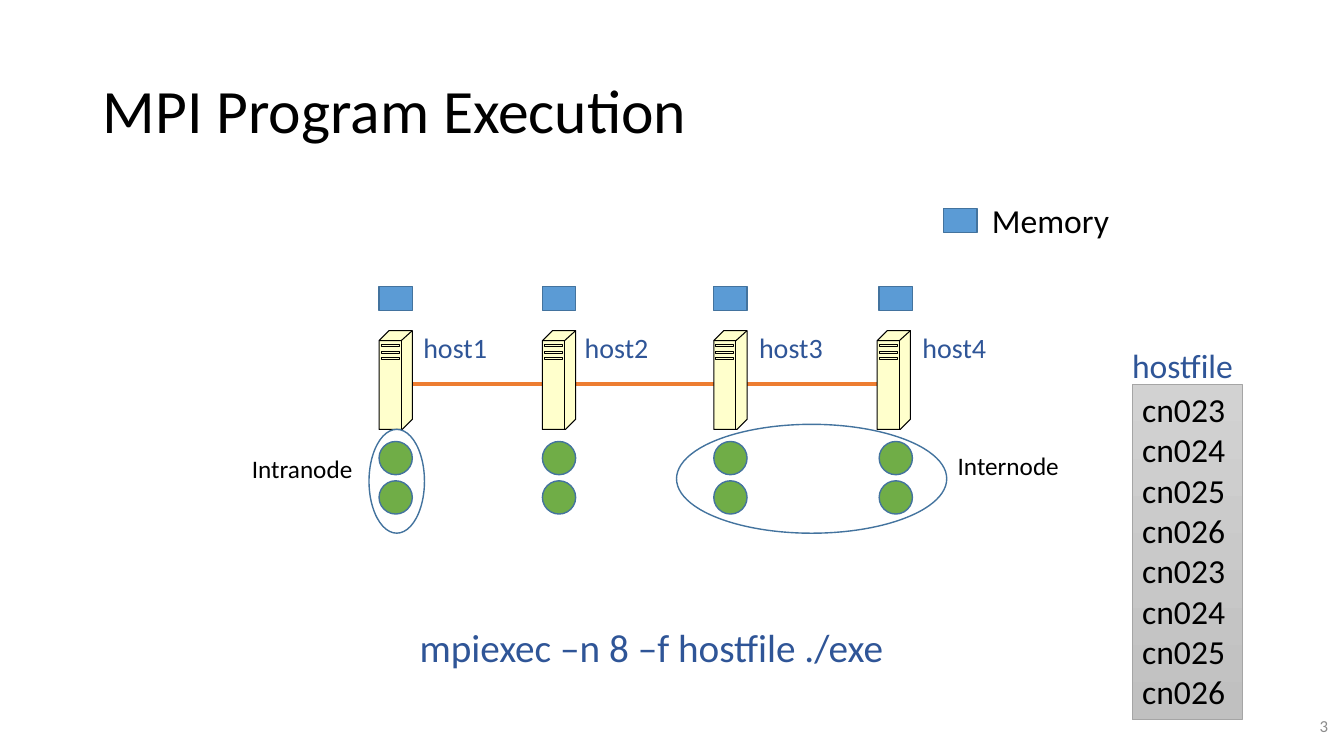
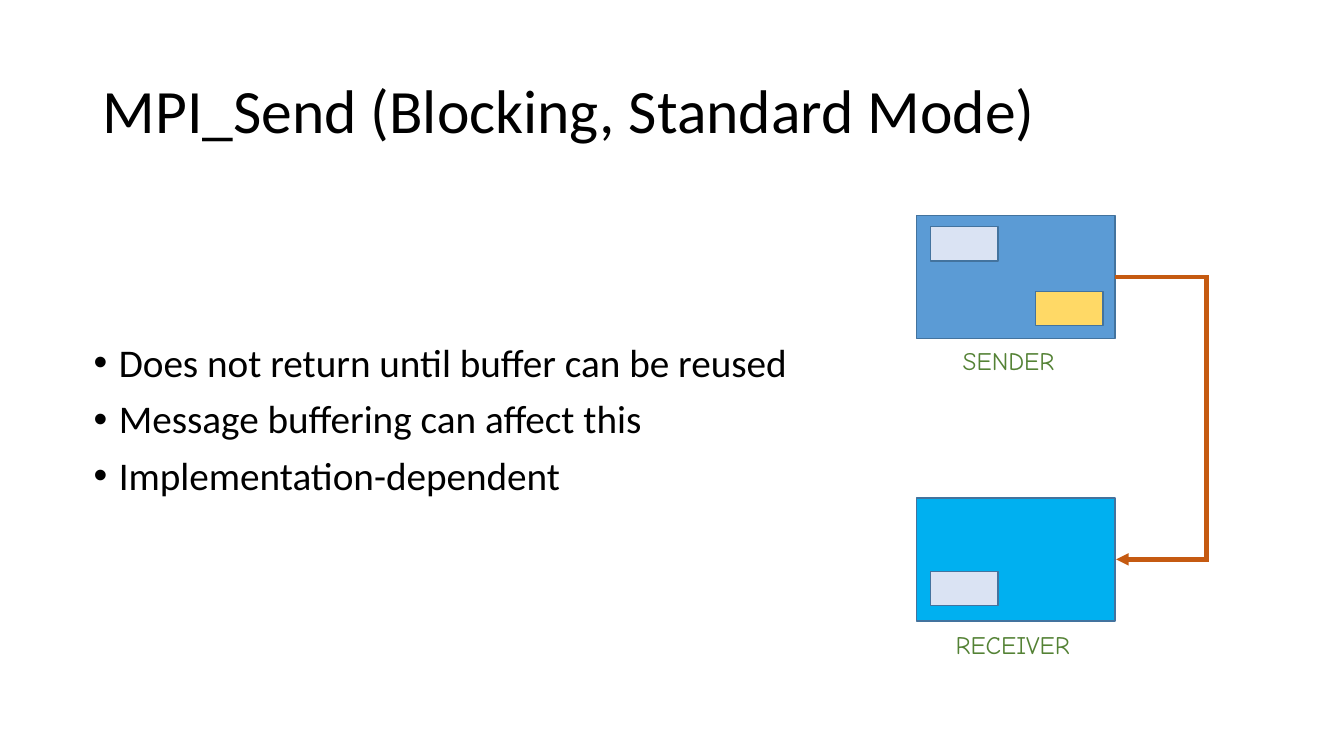
"""Build two slides on running MPI programs and on blocking sends."""
import lxml.etree
import pptx
import pptx.dml.color
import pptx.enum.shapes
import pptx.enum.text
import pptx.oxml.ns
import pptx.util

PX = 9144
COLORS = {
    "text": "000000", "command": "2F5597", "number": "8C8C8C", "caption": "548235",
    "memory": "5B9BD5", "outline": "43739E", "process": "70AD47", "link": "ED7D31",
    "server": "FFFFCC", "edge": "000000", "receiver": "00B0F0", "buffer": "DAE3F3",
    "system": "FFD966", "message": "C55A11", "list_top": "D2D2D2",
    "list_bottom": "C0C0C0", "list_edge": "A5A5A5",
}
STYLES = {
    "title": {"name": "Calibri", "size": pptx.util.Pt(44)},
    "body": {"name": "Calibri", "size": pptx.util.Pt(28)},
    "label": {"name": "Calibri", "size": pptx.util.Pt(24)},
    "host": {"name": "Calibri", "size": pptx.util.Pt(20)},
    "note": {"name": "Calibri", "size": pptx.util.Pt(18)},
    "number": {"name": "Calibri", "size": pptx.util.Pt(12)},
    "caption": {"name": "Comic Neue", "size": pptx.util.Pt(18)},
}
SHAPES = pptx.enum.shapes.MSO_SHAPE
CONNECTORS = pptx.enum.shapes.MSO_CONNECTOR
ALIGN = pptx.enum.text.PP_ALIGN
ANCHOR = pptx.enum.text.MSO_ANCHOR
TITLE_BOX = (92, 40, 1150, 145)
NUMBER_BOX = (1027, 700, 300, 40)


def emu(*lengths):
    return [pptx.util.Emu(length * PX) for length in lengths]


def rgb(color):
    return pptx.dml.color.RGBColor.from_string(COLORS[color])


def add_element(parent, tag, **attributes):
    lxml.etree.SubElement(parent, pptx.oxml.ns.qn(tag), **attributes)


def paint(shape, fill, line="outline", width=1):
    shape.shadow.inherit = False
    if fill:
        shape.fill.solid()
        shape.fill.fore_color.rgb = rgb(fill)
    else:
        shape.fill.background()
    shape.line.color.rgb = rgb(line)
    shape.line.width = pptx.util.Pt(width)


def add_box(slide, box, fill, preset=SHAPES.RECTANGLE):
    shape = slide.shapes.add_shape(preset, *emu(*box))
    paint(shape, fill)
    return shape


def write(shape, lines, style, color="text", wrap=True, anchor=ANCHOR.TOP, bullet=False, **layout):
    frame = shape.text_frame
    frame.word_wrap = wrap
    frame.vertical_anchor = anchor
    for index, line in enumerate(lines):
        paragraph = frame.paragraphs[0] if index == 0 else frame.add_paragraph()
        if bullet:
            properties = paragraph._p.get_or_add_pPr()
            properties.set("marL", str(25 * PX))
            properties.set("indent", str(-25 * PX))
            add_element(properties, "a:buFont", typeface="Arial")
            add_element(properties, "a:buChar", char="•")
            if index:
                paragraph.space_before = pptx.util.Pt(10)
        for name, value in layout.items():
            setattr(paragraph, name, value)
        run = paragraph.add_run()
        run.text = line
        for name, value in STYLES[style].items():
            setattr(run.font, name, value)
        run.font.color.rgb = rgb(color)


def add_text(slide, box, lines, style, **options):
    write(slide.shapes.add_textbox(*emu(*box)), lines, style, **options)


def add_line(slide, kind, start, end, color):
    connector = slide.shapes.add_connector(kind, *emu(*start, *end))
    connector.line.color.rgb = rgb(color)
    connector.line.width = pptx.util.Pt(3)
    add_element(connector.element.spPr, "a:effectLst")
    return connector


def add_slide(presentation, title, number=None):
    slide = presentation.slides.add_slide(presentation.slide_layouts[6])
    add_text(slide, TITLE_BOX, [title], "title", anchor=ANCHOR.MIDDLE, line_spacing=0.9)
    if number:
        add_text(slide, NUMBER_BOX, [number], "number", color="number",
                 anchor=ANCHOR.MIDDLE, alignment=ALIGN.RIGHT)
    return slide


def add_outline(slide, left, top, contours, fill, close):
    builder = slide.shapes.build_freeform(*contours[0][0], scale=PX)
    for index, points in enumerate(contours):
        if index:
            builder.move_to(*points[0])
        builder.add_line_segments(points[1:], close=close)
    paint(builder.convert_to_shape(*emu(left, top)), fill, "edge", 0.75)


def draw_server(slide, left, top):
    body = [(0, 10), (10, 0), (33, 0), (33, 88), (23, 98), (0, 98)]
    edges = [[(0, 10), (22, 10), (33, 0)], [(22, 10), (22, 98)]]
    slots = [[(2, y), (20, y), (20, y + 2), (2, y + 2), (2, y)] for y in (14, 21, 27)]
    add_outline(slide, left, top, [body], "server", True)
    add_outline(slide, left, top, edges + slots, None, False)


def draw_cluster(slide, left, top):
    add_line(slide, CONNECTORS.STRAIGHT, (left, top + 97), (left + 527, top + 97), "link")
    columns = [(0, 0, 34), (162, 162, 194), (332, 332, 367), (494, 496, 529)]
    for index, (server, process, label) in enumerate(columns, 1):
        draw_server(slide, left + server, top + 44)
        add_box(slide, (left + process, top, 33, 24), "memory")
        add_text(slide, (left + label, top + 39, 84, 44), [f"host{index}"], "host",
                 color="command", wrap=False)
        for row in (154, 193):
            add_box(slide, (left + process, top + row, 33, 33), "process", SHAPES.OVAL)
    scopes = [("Intranode", (-10, 142, 55, 103), (-136, 161)),
              ("Internode", (295, 137, 268, 108), (564, 158))]
    for name, (x, y, width, height), (label_x, label_y) in scopes:
        add_box(slide, (left + x, top + y, width, height), None, SHAPES.OVAL)
        add_text(slide, (left + label_x, top + label_y, 351, 40), [name], "note")


def draw_legend(slide, left, top):
    add_box(slide, (left, top + 14, 33, 24), "memory")
    add_text(slide, (left + 38, top, 137, 50), ["Memory"], "label")


def draw_hostfile(slide, left, top, width, height):
    add_text(slide, (left - 10, top - 44, 122, 50), ["hostfile"], "label",
             color="command", wrap=False)
    listing = add_box(slide, (left, top, width, height), None)
    listing.fill.gradient()
    listing.fill.gradient_angle = 270
    for stop, color in zip(listing.fill.gradient_stops, ("list_top", "list_bottom")):
        stop.color.rgb = rgb(color)
    listing.line.color.rgb = rgb("list_edge")
    listing.line.width = pptx.util.Pt(0.5)
    names = [f"cn{number:03}" for number in range(23, 27)] * 2
    write(listing, names, "label", alignment=ALIGN.LEFT)


def draw_transfer(slide, left, top):
    width, height, pitch, reach = 197, 122, 280, 92
    sender = add_box(slide, (left, top, width, height), "memory")
    receiver = add_box(slide, (left, top + pitch, width, height), "receiver")
    buffers = [(14, 11, "buffer"), (118, 75, "system"), (14, pitch + 73, "buffer")]
    for x, y, fill in buffers:
        add_box(slide, (left + x, top + y, 67, 34), fill)
    captions = [("SENDER", 36, 124, 123), ("RECEIVER", 29, pitch + 125, 145)]
    for name, x, y, size in captions:
        add_text(slide, (left + x, top + y, size, 40), [name], "caption",
                 color="caption", wrap=False)
    right, middle = left + width, top + height // 2
    arrow = add_line(slide, CONNECTORS.ELBOW, (right, middle),
                     (right + 1, middle + pitch), "message")
    arrow.begin_connect(sender, 3)
    arrow.end_connect(receiver, 3)
    arrow.width = emu(1)[0]
    properties = arrow.element.spPr
    outline = properties.find(pptx.oxml.ns.qn("a:ln"))
    add_element(outline, "a:miter", lim="800000")
    add_element(outline, "a:tailEnd", type="triangle")
    add_element(properties.find(".//" + pptx.oxml.ns.qn("a:avLst")), "a:gd",
                name="adj1", fmla=f"val {reach * 100000}")


def build_execution(presentation):
    slide = add_slide(presentation, "MPI Program Execution", "3")
    draw_cluster(slide, 376, 284)
    draw_legend(slide, 936, 193)
    add_text(slide, (403, 613, 486, 57), ["mpiexec –n 8 –f hostfile ./exe"], "body",
             color="command", wrap=False, alignment=ALIGN.CENTER)
    draw_hostfile(slide, 1123, 381, 109, 333)


def build_send(presentation):
    slide = add_slide(presentation, "MPI_Send (Blocking, Standard Mode)")
    points = ["Does not return until buffer can be reused",
              "Message buffering can affect this", "Implementation-dependent"]
    add_text(slide, (83, 336, 788, 339), points, "body", bullet=True, line_spacing=0.9)
    draw_transfer(slide, 909, 214)


def main():
    presentation = pptx.Presentation()
    presentation.slide_width, presentation.slide_height = emu(1333, 750)
    build_execution(presentation)
    build_send(presentation)
    presentation.save("out.pptx")


if __name__ == "__main__":
    main()
